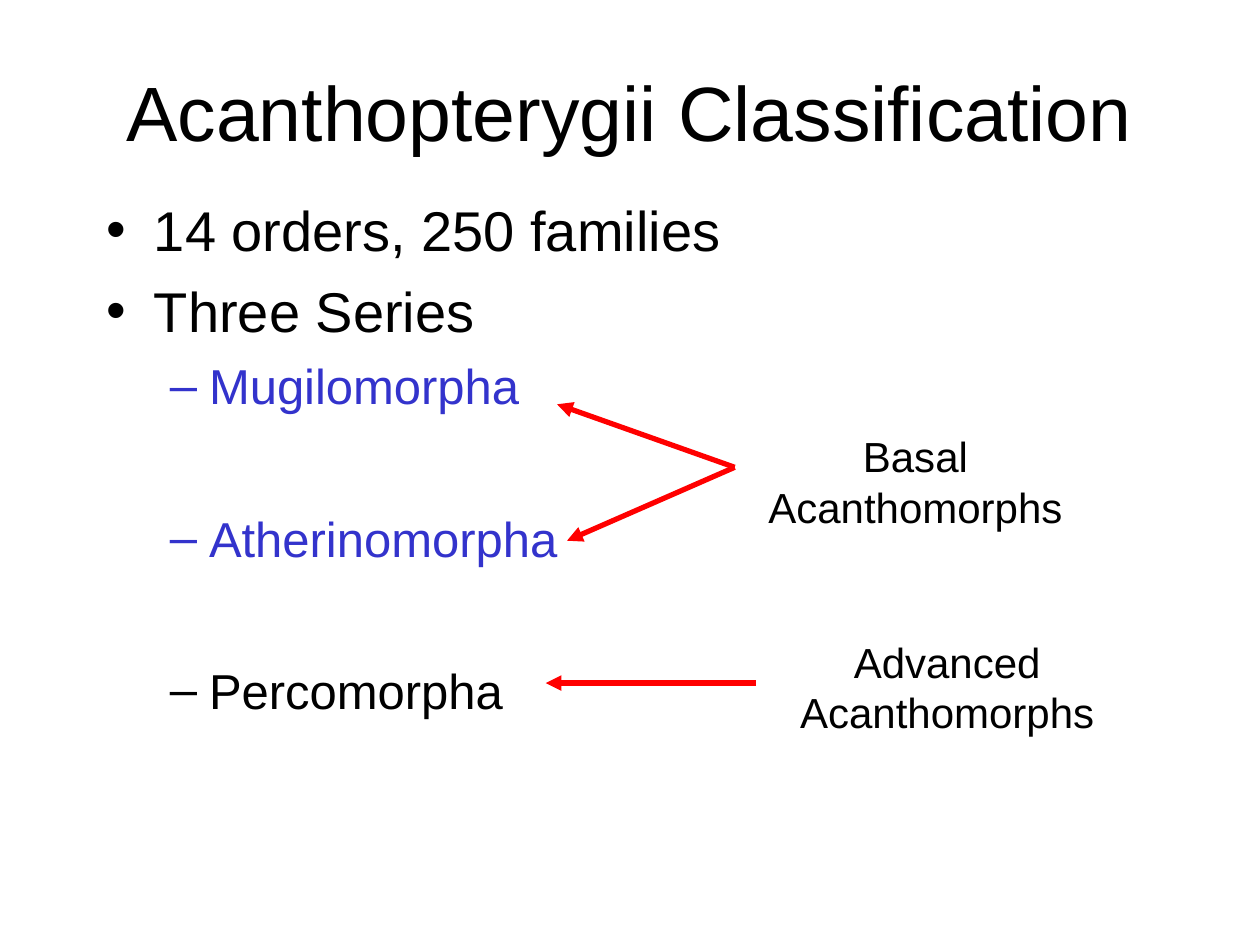
from dataclasses import dataclass
from lxml.etree import SubElement
from pptx import Presentation
from pptx.dml.color import RGBColor as RGB
from pptx.enum.shapes import MSO_CONNECTOR as Conn
from pptx.enum.text import MSO_ANCHOR as Anchor, MSO_AUTO_SIZE as Auto, PP_ALIGN as Align
from pptx.oxml.ns import qn
from pptx.util import Cm, Pt


@dataclass(frozen=True)
class Theme:
    font: str = "Arial"
    ink: str = "000000"
    basal: str = "3333CC"
    arrow: str = "FF0000"
    title: int = 44
    levels: tuple = (32, 28)
    label: int = 24
    leading: float = 1.2
    arrow_width: int = 3


class Deck:
    bullets = (("•", 0.95, -0.95), ("–", 2.06, -0.79))

    def __init__(self, prs, theme):
        self.theme = theme
        self.s = prs.slides.add_slide(prs.slide_layouts[1])

    def place(self, sp, box):
        sp.left, sp.top, sp.width, sp.height = (Cm(v) for v in box)
        return sp.text_frame

    def add_text(self, p, text, size, color, align):
        p.alignment = align
        p.line_spacing = Pt(size * self.theme.leading)
        r = p.add_run()
        r.text = text
        r.font.name = self.theme.font
        r.font.size = Pt(size)
        r.font.color.rgb = RGB.from_string(color)

    def title(self, text, box):
        tf = self.place(self.s.shapes.title, box)
        tf.auto_size = Auto.NONE
        tf.vertical_anchor = Anchor.MIDDLE
        self.add_text(tf.paragraphs[0], text, self.theme.title, self.theme.ink, Align.CENTER)

    def bullet(self, p, level, color):
        char, margin, indent = self.bullets[level]
        pPr = p._p.get_or_add_pPr()
        pPr.set("marL", str(Cm(margin)))
        pPr.set("indent", str(Cm(indent)))
        clr = SubElement(pPr, qn("a:buClr"))
        SubElement(clr, qn("a:srgbClr"), val=color)
        SubElement(pPr, qn("a:buFont"), typeface=self.theme.font)
        SubElement(pPr, qn("a:buChar"), char=char)

    def body(self, items, box):
        tf = self.place(self.s.placeholders[1], box)
        tf.auto_size = Auto.NONE
        tf.vertical_anchor = Anchor.TOP
        for i, (text, level, color, before) in enumerate(items):
            p = tf.add_paragraph() if i else tf.paragraphs[0]
            p.level = level
            p.space_before = Pt(before)
            self.add_text(p, text, self.theme.levels[level], color, Align.LEFT)
            self.bullet(p, level, color)

    def label(self, lines, left, top):
        box = left, top, 6.43, 2.29
        tf = self.s.shapes.add_textbox(*(Cm(v) for v in box)).text_frame
        tf.word_wrap = False
        tf.auto_size = Auto.SHAPE_TO_FIT_TEXT
        for i, text in enumerate(lines):
            p = tf.add_paragraph() if i else tf.paragraphs[0]
            self.add_text(p, text, self.theme.label, self.theme.ink, Align.CENTER)

    def arrow(self, start, end):
        ends = (Cm(v) for v in start + end)
        c = self.s.shapes.add_connector(Conn.STRAIGHT, *ends)
        c.line.color.rgb = RGB.from_string(self.theme.arrow)
        c.line.width = Pt(self.theme.arrow_width)
        spPr = c._element.spPr
        SubElement(spPr.find(qn("a:ln")), qn("a:tailEnd"), type="triangle")
        SubElement(spPr, qn("a:effectLst"))


def main():
    prs = Presentation()
    prs.slide_width, prs.slide_height = Cm(25.4), Cm(19.05)
    theme = Theme()
    deck = Deck(prs, theme)
    deck.title("Acanthopterygii Classification", (1.9, 0.64, 21.59, 3.18))
    series_gap = 53.4
    deck.body([
        ("14 orders, 250 families", 0, theme.ink, 0),
        ("Three Series", 0, theme.ink, 8),
        ("Mugilomorpha", 1, theme.basal, 7),
        ("Atherinomorpha", 1, theme.basal, series_gap),
        ("Percomorpha", 1, theme.ink, series_gap),
    ], (1.9, 3.81, 21.59, 11.43))
    fork = (14.81, 9.42)
    for tip in ((11.23, 8.15), (11.43, 10.9)):
        deck.arrow(fork, tip)
    deck.label(("Basal", "Acanthomorphs"), 15.24, 8.56)
    deck.label(("Advanced", "Acanthomorphs"), 15.88, 12.7)
    deck.arrow((15.24, 13.77), (11, 13.77))
    prs.save("out.pptx")


if __name__ == "__main__":
    main()
